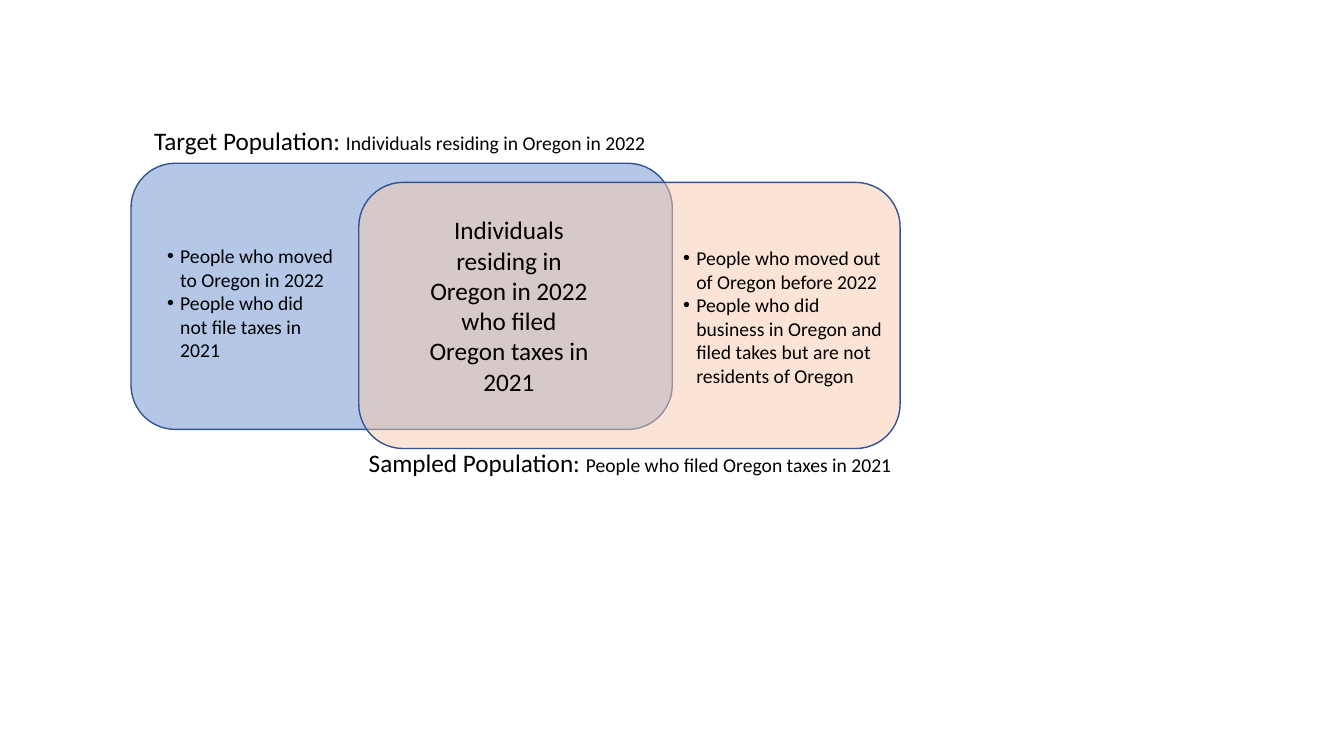
from dataclasses import dataclass

from lxml import etree
from pptx import Presentation
from pptx import util as u
from pptx.dml.color import RGBColor
from pptx.enum import shapes, text
from pptx.oxml import ns


@dataclass(frozen=True)
class Theme:
    font: str = "Calibri"
    ink: str = "000000"
    outline: str = "325491"
    target: str = "B4C7E7"
    sampled: str = "F8CBAD"
    large: int = 18
    small: int = 14
    hang: float = 9.36


class Diagram:
    def __init__(self, page, theme):
        self.page = page
        self.theme = theme

    def population(self, left, top, width, height, color, opacity=100):
        """Draw a rounded population area."""
        area = self.page.shapes.add_shape(
            shapes.MSO_SHAPE.ROUNDED_RECTANGLE,
            u.Pt(left), u.Pt(top), u.Pt(width), u.Pt(height))
        area.shadow.inherit = False
        area.fill.solid()
        area.fill.fore_color.rgb = RGBColor.from_string(color)
        area.line.color.rgb = RGBColor.from_string(self.theme.outline)
        area.line.width = u.Pt(1)
        if opacity < 100:
            swatch = area.fill._xPr.find(ns.qn("a:solidFill"))[0]
            etree.SubElement(swatch, ns.qn("a:alpha"), val=str(opacity * 1000))

    def frame(self, left, top, width, height):
        """Add an empty wrapping text box."""
        box = self.page.shapes.add_textbox(
            u.Pt(left), u.Pt(top), u.Pt(width), u.Pt(height))
        box.text_frame.word_wrap = True
        return box.text_frame

    def style(self, span, size):
        span.font.name = self.theme.font
        span.font.size = u.Pt(size)
        span.font.color.rgb = RGBColor.from_string(self.theme.ink)

    def heading(self, left, top, width, height, name, meaning):
        """Write a large name followed by a smaller definition."""
        para = self.frame(left, top, width, height).paragraphs[0]
        for words, size in ((name, self.theme.large), (meaning, self.theme.small)):
            span = para.add_run()
            span.text = words
            self.style(span, size)

    def centered(self, left, top, width, height, words):
        """Write a large centred statement."""
        para = self.frame(left, top, width, height).paragraphs[0]
        para.text = words
        para.alignment = text.PP_ALIGN.CENTER
        self.style(para.runs[0], self.theme.large)

    def bullets(self, left, top, width, height, items):
        """Write a bulleted list with hanging indents."""
        frame = self.frame(left, top, width, height)
        frame.text = "\n".join(items)
        hang = u.Pt(self.theme.hang)
        for para in frame.paragraphs:
            props = para._p.get_or_add_pPr()
            props.set("marL", str(hang))
            props.set("indent", str(-hang))
            etree.SubElement(props, ns.qn("a:buFont"), typeface="Arial")
            etree.SubElement(props, ns.qn("a:buChar"), char="•")
            self.style(para.runs[0], self.theme.small)


def main():
    deck = Presentation()
    deck.slide_width, deck.slide_height = u.Pt(960), u.Pt(540)
    page = deck.slides.add_slide(deck.slide_layouts[6])
    theme = Theme()
    diagram = Diagram(page, theme)

    # Overlapping populations
    size = (386.64, 190.08)
    diagram.population(93.6, 116.64, *size, theme.target)
    diagram.population(256.32, 130.32, *size, theme.sampled, opacity=50)

    # Overlap statement
    diagram.centered(
        297.36, 149.76, 132.48, 138.24,
        "Individuals residing in Oregon in 2022 who filed Oregon taxes in 2021")

    # Population headings
    diagram.heading(256.32, 316.08, 468, 51.12, "Sampled Population: ",
                    "People who filed Oregon taxes in 2021")
    diagram.heading(102.96, 85.68, 454.32, 51.12, "Target Population: ",
                    "Individuals residing in Oregon in 2022")

    # People outside the overlap
    diagram.bullets(112.32, 170.64, 133.2, 108.72, [
        "People who moved to Oregon in 2022",
        "People who did not file taxes in 2021"])
    diagram.bullets(480.96, 172.08, 163.44, 108.72, [
        "People who moved out of Oregon before 2022",
        "People who did business in Oregon and filed takes but are not "
        "residents of Oregon"])

    deck.save("out.pptx")


if __name__ == "__main__":
    main()
